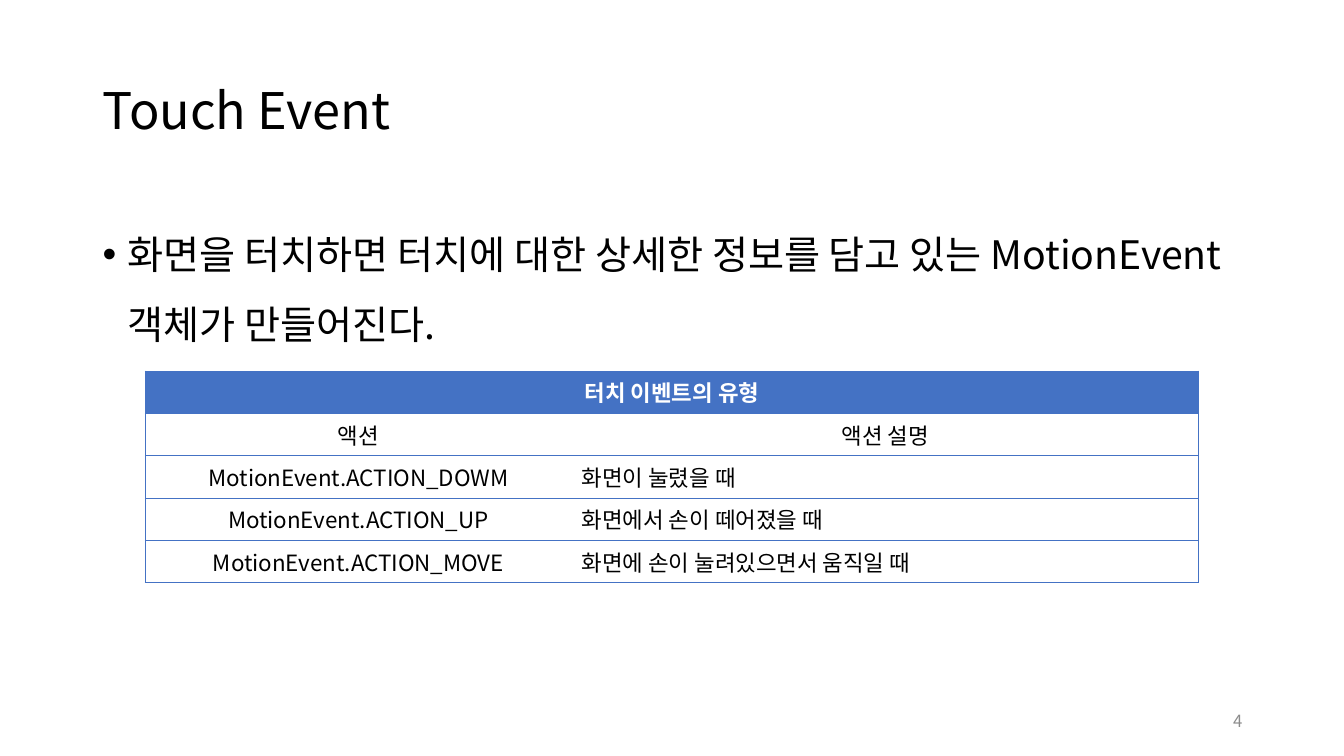
"""Build the Touch Event slide with its table of action types."""
import pptx
import pptx.util
import pptx.dml.color
import pptx.enum.text
import pptx.oxml.ns
import lxml.etree

Inches = pptx.util.Inches
Color = pptx.dml.color.RGBColor
Align = pptx.enum.text.PP_ALIGN
Anchor = pptx.enum.text.MSO_ANCHOR
qn = pptx.oxml.ns.qn
FONT = "Noto Sans CJK KR"
BLACK = Color(0x00, 0x00, 0x00)
WHITE = Color(0xFF, 0xFF, 0xFF)
GRAY = Color(0x8C, 0x8C, 0x8C)
BLUE = Color(0x44, 0x72, 0xC4)


def write(frame, text, size, color, align=Align.LEFT, bold=False):
    frame.text = text
    par = frame.paragraphs[0]
    par.alignment = align
    par.font.size = pptx.util.Pt(size)
    par.font.bold = bold
    par.font.color.rgb = color
    par.font.name = FONT
    latin = par._p.pPr.find(".//" + qn("a:latin"))
    latin.addnext(latin.makeelement(qn("a:ea"), {"typeface": FONT}))
    return par


def add_box(left, top, width, height, anchor):
    box = slide.shapes.add_textbox(Inches(left), Inches(top), Inches(width), Inches(height))
    frame = box.text_frame
    frame.word_wrap = True
    frame.vertical_anchor = anchor
    return frame


deck = pptx.Presentation()
deck.slide_width = Inches(13.33)
deck.slide_height = Inches(7.5)
slide = deck.slides.add_slide(deck.slide_layouts[6])

title = write(add_box(0.92, 0.4, 11.5, 1.45, Anchor.MIDDLE), "Touch Event", 36, BLACK)
title.line_spacing = 0.9

body = write(
    add_box(0.92, 2, 11.5, 4.76, Anchor.TOP),
    "화면을 터치하면 터치에 대한 상세한 정보를 담고 있는 MotionEvent 객체가 만들어진다.",
    28, BLACK)
body.line_spacing = 1.5
body.space_before = pptx.util.Pt(10)
props = body._p.pPr
props.set("marL", str(Inches(0.25)))
props.set("indent", str(-Inches(0.25)))
start = props.find(qn("a:defRPr"))
start.addprevious(props.makeelement(qn("a:buFont"), {"typeface": "Arial"}))
start.addprevious(props.makeelement(qn("a:buChar"), {"char": "•"}))

write(add_box(9.42, 6.95, 3, 0.4, Anchor.MIDDLE), "4", 12, GRAY, Align.RIGHT)

ROWS = [
    ("터치 이벤트의 유형", ""),
    ("액션", "액션 설명"),
    ("MotionEvent.ACTION_DOWM", "화면이 눌렸을 때"),
    ("MotionEvent.ACTION_UP", "화면에서 손이 떼어졌을 때"),
    ("MotionEvent.ACTION_MOVE", "화면에 손이 눌려있으면서 움직일 때"),
]
table = slide.shapes.add_table(
    len(ROWS), 2, Inches(1.44), Inches(3.68), Inches(10.45), Inches(0.42 * len(ROWS))).table
table.columns[0].width = Inches(4.23)
table.columns[1].width = Inches(6.22)
table.cell(0, 0).merge(table.cell(0, 1))

for r, row in enumerate(ROWS):
    head = r == 0
    for c, text in enumerate(row):
        cell = table.cell(r, c)
        if text:
            align = Align.LEFT if c == 1 and r > 1 else Align.CENTER
            write(cell.text_frame, text, 16, WHITE if head else BLACK, align, head)
        edges = cell._tc.get_or_add_tcPr()
        for side in ("lnL", "lnR", "lnT", "lnB"):
            line = lxml.etree.SubElement(edges, qn("a:" + side), w=str(pptx.util.Pt(0.5)))
            inner = not head and (side, c) in (("lnR", 0), ("lnL", 1))
            if inner:
                lxml.etree.SubElement(line, qn("a:noFill"))
            else:
                fill = lxml.etree.SubElement(line, qn("a:solidFill"))
                lxml.etree.SubElement(fill, qn("a:srgbClr"), val=str(BLUE))
        if head:
            cell.fill.solid()
            cell.fill.fore_color.rgb = BLUE
        else:
            cell.fill.background()

deck.save("out.pptx")
